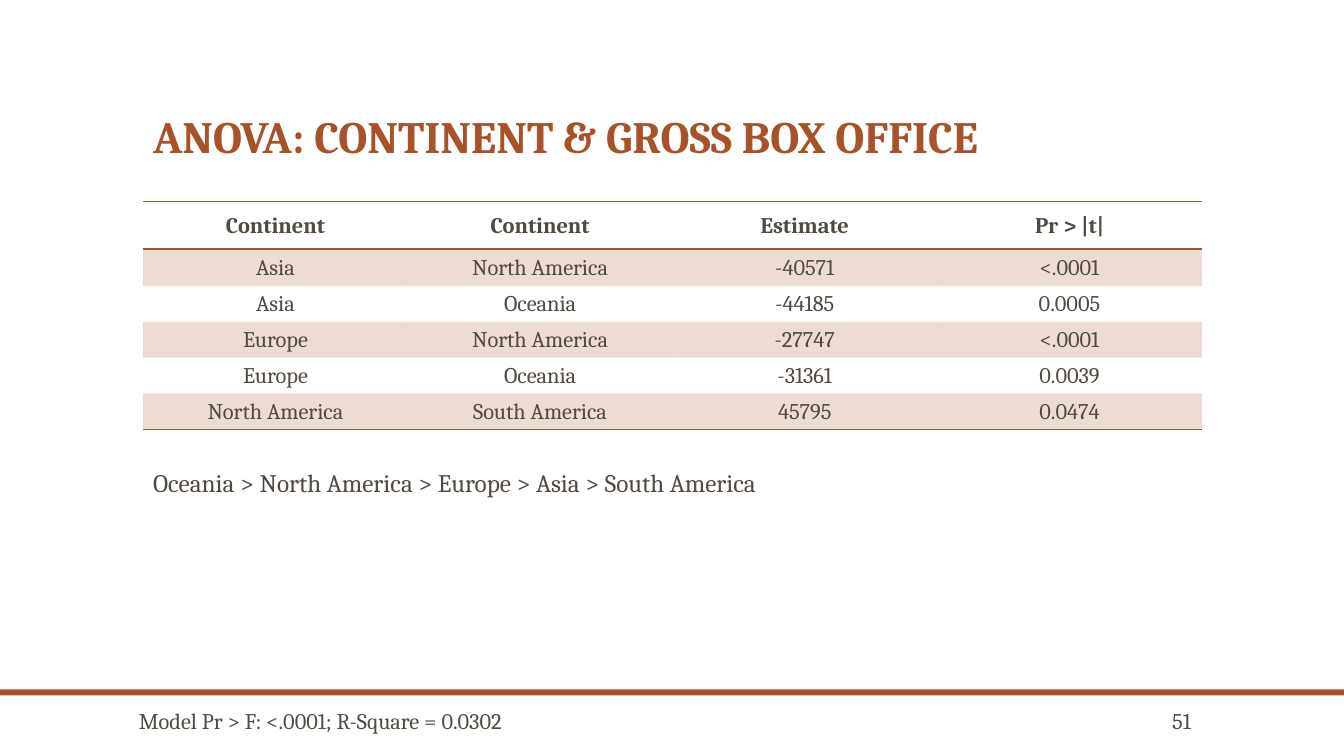
from lxml import etree
from pptx import Presentation
from pptx.dml.color import RGBColor
from pptx.enum.shapes import MSO_SHAPE
from pptx.enum.text import MSO_ANCHOR, MSO_AUTO_SIZE, PP_ALIGN
from pptx.oxml.ns import qn
from pptx.util import Inches, Pt

RUST = RGBColor(0xA8, 0x52, 0x29)
BROWN = RGBColor(0x51, 0x4A, 0x40)
FONT = "Cambria"
LEFT, CENTER, RIGHT = PP_ALIGN.LEFT, PP_ALIGN.CENTER, PP_ALIGN.RIGHT
TOP, MIDDLE, BOTTOM = MSO_ANCHOR.TOP, MSO_ANCHOR.MIDDLE, MSO_ANCHOR.BOTTOM
GROW = MSO_AUTO_SIZE.SHAPE_TO_FIT_TEXT
RECT = MSO_SHAPE.RECTANGLE
PLAIN = "{2D5ABB26-0587-4C30-8999-92F81FD0307C}"

deck = Presentation()
deck.slide_width = Inches(13.33)
deck.slide_height = Inches(7.5)
slide = deck.slides.add_slide(deck.slide_layouts[6])


def style(para, text, size, color=BROWN, bold=False, align=LEFT):
    para.text = text
    para.alignment = align
    para.font.name = FONT
    para.font.size = Pt(size)
    para.font.bold = bold
    para.font.color.rgb = color


def add_text(place, text, size, anchor=TOP, wrap=True, **look):
    box = slide.shapes.add_textbox(*map(Inches, place))
    frame = box.text_frame
    frame.word_wrap = wrap
    frame.vertical_anchor = anchor
    if not wrap:
        frame.auto_size = GROW
    style(frame.paragraphs[0], text, size, **look)
    return frame.paragraphs[0]


bar = slide.shapes.add_shape(RECT, 0, Inches(6.84), deck.slide_width, Inches(0.06))
bar.shadow.inherit = False
bar.fill.solid()
bar.fill.fore_color.rgb = RUST
bar.line.fill.background()

title = add_text((1.42, 0.42, 10.5, 1.25), "ANOVA: CONTINENT & GROSS BOX OFFICE", 32,
                 anchor=BOTTOM, color=RUST, bold=True)
title.line_spacing = 0.9
add_text((11.15, 7.02, 0.76, 0.26), "51", 16, anchor=MIDDLE, align=RIGHT)
add_text((1.28, 6.97, 4.06, 0.37), "Model Pr > F: <.0001; R-Square = 0.0302", 16, wrap=False)

rows = [
    ("Continent", "Continent", "Estimate", "Pr > |t|"),
    ("Asia", "North America", "-40571", "<.0001"),
    ("Asia", "Oceania", "-44185", "0.0005"),
    ("Europe", "North America", "-27747", "<.0001"),
    ("Europe", "Oceania", "-31361", "0.0039"),
    ("North America", "South America", "45795", "0.0474"),
]
last = len(rows) - 1
high = 2.26
heights = [0.47, 0.37] + [(high - 0.47 - 0.37) / 4] * 4
table = slide.shapes.add_table(len(rows), 4, Inches(1.42), Inches(2),
                               Inches(10.5), Inches(high)).table
table._tbl.tblPr.find(qn("a:tableStyleId")).text = PLAIN

for r, row in enumerate(rows):
    table.rows[r].height = Inches(heights[r])
    sides = {0: ("a:lnT", "a:lnB"), last: ("a:lnB",)}.get(r, ())
    for c, text in enumerate(row):
        cell = table.cell(r, c)
        cell.margin_left = cell.margin_right = cell.margin_top = Inches(0.01)
        cell.margin_bottom = 0
        cell.vertical_anchor = MIDDLE
        style(cell.text_frame.paragraphs[0], text, 16, bold=r == 0, align=CENTER)
        props = cell._tc.get_or_add_tcPr()
        if r % 2:
            cell.fill.solid()
            cell.fill.fore_color.rgb = RUST
            tint = props.find(".//" + qn("a:srgbClr"))
            etree.SubElement(tint, qn("a:alpha"), val="20000")
        else:
            cell.fill.background()
        for i, side in enumerate(sides):
            line = etree.Element(qn(side), w=str(Pt(1)))
            fill = etree.SubElement(line, qn("a:solidFill"))
            etree.SubElement(fill, qn("a:srgbClr"), val=str(RUST))
            props.insert(i, line)

add_text((1.42, 4.59, 6.47, 0.4),
         "Oceania > North America > Europe > Asia > South America", 18, wrap=False)

deck.save("out.pptx")
